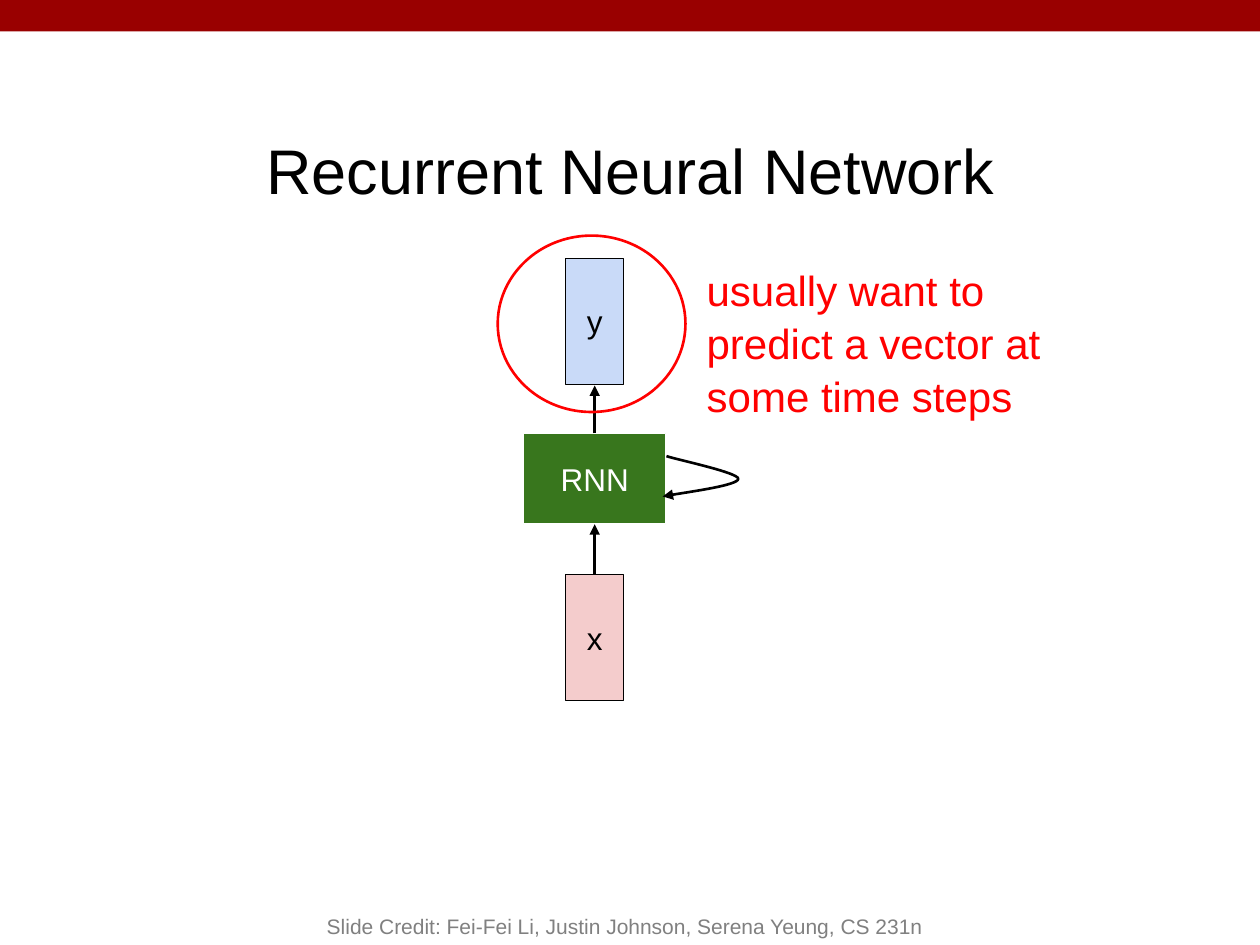
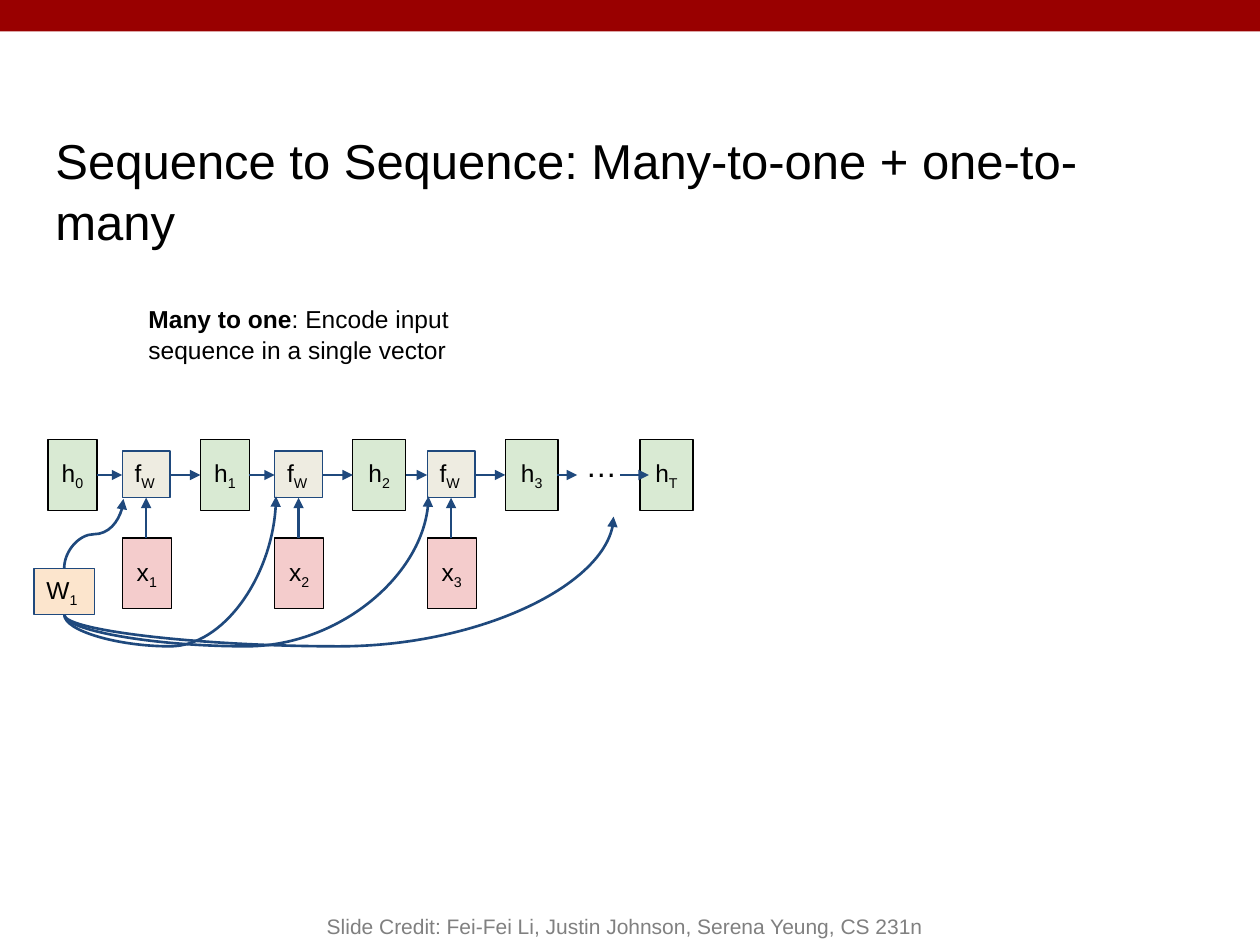
from pptx import Presentation
from pptx.dml.color import RGBColor
from pptx.enum.shapes import MSO_CONNECTOR, MSO_SHAPE
from pptx.enum.text import MSO_ANCHOR, MSO_AUTO_SIZE, PP_ALIGN
from pptx.oxml.ns import qn
from pptx.util import Inches, Pt
from lxml.etree import SubElement

WIDTH, HEIGHT = 10, 7.5
FONT = "Arial"
BLACK, WHITE, RED, NAVY = "000000", "FFFFFF", "FF0000", "1F497D"
BAND, GREY, GREEN = "990000", "808080", "38761D"
PINK, BLUE, MINT, CREAM, PEACH = "F4CCCC", "C9DAF8", "D9EAD3", "EEECE1", "FCE5CD"
CREDIT = "Slide Credit: Fei-Fei Li, Justin Johnson, Serena Yeung, CS 231n"
STEP = 1.21
STATE_ROW, CELL_ROW, INPUT_ROW, WEIGHT_ROW = 3.49, 3.58, 4.27, 4.51
AXIS = 3.77
SAG = 5.13


def color(value):
    """Turn a hex string into a colour."""
    return RGBColor.from_string(value)


def apply(target, values):
    """Set every attribute named in a dict of format values."""
    for name, value in values.items():
        setattr(target, name, value)


def place(shape, left, top, width, height):
    """Move and size a shape, in inches."""
    apply(shape, {"left": Inches(left), "top": Inches(top),
                  "width": Inches(width), "height": Inches(height)})


def write(shape, spans, size, ink=BLACK, align=PP_ALIGN.LEFT, anchor=MSO_ANCHOR.TOP,
          wrap=True, inset=0.1, spacing=None):
    """Fill a shape with one paragraph of (text, kind) spans."""
    frame = shape.text_frame
    apply(frame, {"auto_size": MSO_AUTO_SIZE.NONE, "word_wrap": wrap,
                  "vertical_anchor": anchor,
                  "margin_left": Inches(0.1), "margin_right": Inches(0.1),
                  "margin_top": Inches(inset), "margin_bottom": Inches(inset)})
    para = frame.paragraphs[0]
    apply(para, {"alignment": align, "line_spacing": spacing})
    for text, kind in spans:
        span = para.add_run()
        span.text = text
        apply(span.font, {"name": FONT, "size": Pt(size), "bold": kind == "bold"})
        span.font.color.rgb = color(ink)
        if kind == "subscript":
            span.font._element.set("baseline", "-25000")


def add_text(page, bounds, spans, size, **options):
    """Add a text box."""
    box = page.shapes.add_textbox(*map(Inches, bounds))
    write(box, spans, size, **options)


def draw_line(shape, ink, weight):
    """Give a shape or connector its line."""
    shape.line.color.rgb = color(ink)
    shape.line.width = Pt(weight)


def add_box(page, bounds, fill=None, line=None, weight=0.75, kind=MSO_SHAPE.RECTANGLE):
    """Add a preset shape with optional fill and line."""
    box = page.shapes.add_shape(kind, *map(Inches, bounds))
    box.shadow.inherit = False
    if fill:
        box.fill.solid()
        box.fill.fore_color.rgb = color(fill)
    else:
        box.fill.background()
    if line:
        draw_line(box, line, weight)
    else:
        box.line.fill.background()
    return box


def add_node(page, bounds, fill, label, size, line=BLACK, ink=BLACK, align=PP_ALIGN.CENTER):
    """Add a labelled box; a second label character becomes a subscript."""
    node = add_box(page, bounds, fill, line)
    write(node, label, size, ink, align, MSO_ANCHOR.MIDDLE, wrap=False)
    return node


def add_symbol(page, bounds, fill, symbol, index, **options):
    """Add a node whose letter carries a subscript."""
    return add_node(page, bounds, fill, [(symbol, ""), (index, "subscript")], 14, **options)


def add_arrowhead(shape):
    """End a line with a triangle."""
    outline = shape._element.spPr.find(qn("a:ln"))
    SubElement(outline, qn("a:tailEnd"), type="triangle")


def add_arrow(page, start, end, ink=NAVY, kind=MSO_CONNECTOR.STRAIGHT):
    """Add an arrow between two points in inches."""
    arrow = page.shapes.add_connector(kind, *map(Inches, (*start, *end)))
    draw_line(arrow, ink, 1.5)
    add_arrowhead(arrow)
    SubElement(arrow._element.spPr, qn("a:effectLst"))
    return arrow


def add_curve(page, start, end, bend):
    """Add a rising curved arrow that leaves vertically and turns at height bend."""
    arrow = add_arrow(page, start, end, kind=MSO_CONNECTOR.CURVE)
    run, rise = end[0] - start[0], start[1] - end[1]
    place(arrow, (start[0] + end[0] - rise) / 2, (start[1] + end[1] - run) / 2, rise, run)
    properties = arrow._element.spPr
    frame = properties.find(qn("a:xfrm"))
    for name, value in {"rot": "5400000", "flipH": "1", "flipV": "1"}.items():
        frame.set(name, value)
    share = round((start[1] - bend) / rise * 100000)
    guides = properties.find(qn("a:prstGeom")).find(qn("a:avLst"))
    SubElement(guides, qn("a:gd"), name="adj1", fmla=f"val {share}")


def add_loop(page, start, points):
    """Add a Bézier arrow through control points in hundredths of an inch."""
    builder = page.shapes.build_freeform(*start, scale=Inches(0.01))
    builder.add_line_segments(points, close=False)
    loop = builder.convert_to_shape()
    loop.shadow.inherit = False
    loop.fill.background()
    draw_line(loop, BLACK, 1.5)
    add_arrowhead(loop)
    outline = next(loop._element.iter(qn("a:path")))
    segments = outline.findall(qn("a:lnTo"))
    for first in range(0, len(segments), 3):
        bezier = SubElement(outline, qn("a:cubicBezTo"))
        for segment in segments[first:first + 3]:
            bezier.append(segment[0])
            outline.remove(segment)


def add_page(deck, title, bounds, size, **options):
    """Add a slide with its band, title and credit."""
    page = deck.slides.add_slide(deck.slide_layouts[5])
    add_box(page, (0, 0, WIDTH, HEIGHT / 30), BAND)
    place(page.shapes.title, *bounds)
    write(page.shapes.title, [(title, "")], size, spacing=1.05, **options)
    add_text(page, (2, 7, 5.92, 0.5), [(CREDIT, "")], 12, ink=GREY,
             align=PP_ALIGN.CENTER, anchor=MSO_ANCHOR.BOTTOM, inset=0.05)
    return page


def build_network(deck):
    """Build the recurrent network slide."""
    page = add_page(deck, "Recurrent Neural Network", (1.02, 0.91, 7.97, 0.48), 36,
                    align=PP_ALIGN.CENTER)
    center = 4.72
    for label, top, width, height, fill, ink, line in (
            ("x", 4.56, 0.46, 1, PINK, BLACK, BLACK),
            ("RNN", 3.44, 1.13, 0.72, GREEN, WHITE, WHITE),
            ("y", 2.05, 0.46, 1, BLUE, BLACK, BLACK)):
        add_node(page, (center - width / 2, top, width, height), fill,
                 [(label, "")], 18, line=line, ink=ink)
    for start, end in ((3.44, 3.06), (4.56, 4.16)):
        add_arrow(page, (center, start), (center, end), BLACK)
    add_loop(page, (529, 362), [(538, 365), (586, 375), (586, 380),
                                (586, 385), (536, 392), (526, 394)])
    add_box(page, (3.95, 1.87, 1.49, 1.4), line=RED, weight=1.5, kind=MSO_SHAPE.OVAL)
    add_text(page, (5.51, 1.98, 3.12, 0.52),
             [("usually want to predict a vector at some time steps", "")], 24,
             ink=RED, spacing=1.05)


def build_sequence(deck):
    """Build the many-to-one encoder slide."""
    page = add_page(deck, "Sequence to Sequence: Many-to-one + one-to-many",
                    (0.34, 1.03, 9.23, 0.94), 28, anchor=MSO_ANCHOR.MIDDLE)
    states = [(0.38 + STEP * step, 0.39 if step < 2 else 0.42) for step in range(4)]
    for index, (left, width) in zip("0123T", states + [(5.08, 0.42)]):
        add_symbol(page, (left, STATE_ROW, width, 0.56), MINT, "h", index)
    add_symbol(page, (0.27, WEIGHT_ROW, 0.48, 0.37), PEACH, "W", "1",
               line=NAVY, align=PP_ALIGN.LEFT)

    for step in range(3):
        left = 0.97 + STEP * step
        right, middle = left + 0.38, left + 0.19
        add_symbol(page, (left, CELL_ROW, 0.38, 0.37), CREAM, "f", "W",
                   line=NAVY, align=PP_ALIGN.LEFT)
        add_symbol(page, (left, INPUT_ROW, 0.39, 0.56), PINK, "x", str(step + 1))
        add_arrow(page, (middle, INPUT_ROW), (middle, 3.95))
        add_arrow(page, (sum(states[step]), AXIS), (left, AXIS))
        add_arrow(page, (right, AXIS), (states[step + 1][0], AXIS))
    for start, end in ((4.42, 4.58), (4.92, 5.15)):
        add_arrow(page, (start, AXIS), (end, AXIS))
    add_text(page, (4.55, 3.44, 0.62, 0.66), [("…", "")], 18)

    add_curve(page, (0.51, WEIGHT_ROW), (0.98, 3.96), 4.24)
    for end in ((2.19, 3.94), (3.4, 3.94), (4.87, 4.1)):
        add_curve(page, (0.51, 4.88), end, SAG)
    add_text(page, (1.08, 2.3, 3.23, 0.72),
             [("Many to one", "bold"), (": Encode input sequence in a single vector", "")],
             14, spacing=1.05)


def main():
    """Build and save the deck."""
    deck = Presentation()
    apply(deck, {"slide_width": Inches(WIDTH), "slide_height": Inches(HEIGHT)})
    build_network(deck)
    build_sequence(deck)
    deck.save("out.pptx")


if __name__ == "__main__":
    main()
